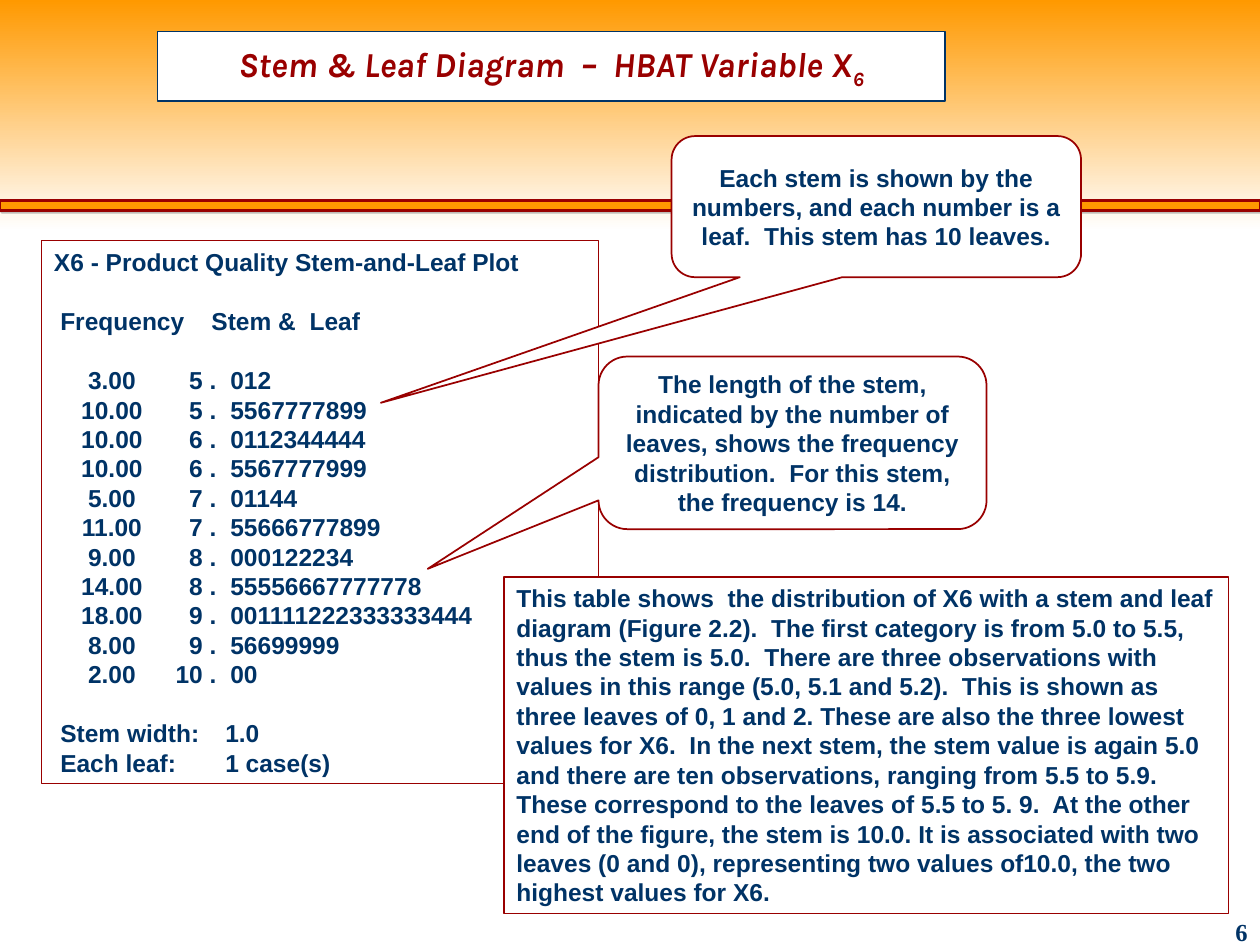
from lxml.etree import SubElement
from pptx import Presentation
from pptx.dml.color import RGBColor
from pptx.enum.shapes import MSO_SHAPE as Shape
from pptx.enum.text import MSO_ANCHOR as Anchor, PP_ALIGN as Align
from pptx.oxml.ns import qn
from pptx.util import Inches, Pt

ORANGE = RGBColor(0xFF, 0x99, 0x00)
MAROON = RGBColor(0x99, 0x00, 0x00)
NAVY = RGBColor(0x00, 0x33, 0x66)
WHITE = RGBColor(0xFF, 0xFF, 0xFF)
LINE_HEIGHT = Pt(16.8)

HEADING_TABS = [(0.05, "l"), (1.25, "l")]
ROW_TABS = [(0.46, "ctr"), (1.29, "r"), (1.4, "l")]
FOOTER_TABS = [(0.05, "l"), (1.36, "l")]

STEM_ROWS = [
    ("3.00", 5, "012"),
    ("10.00", 5, "5567777899"),
    ("10.00", 6, "0112344444"),
    ("10.00", 6, "5567777999"),
    ("5.00", 7, "01144"),
    ("11.00", 7, "55666777899"),
    ("9.00", 8, "000122234"),
    ("14.00", 8, "55556667777778"),
    ("18.00", 9, "001111222333333444"),
    ("8.00", 9, "56699999"),
    ("2.00", 10, "00"),
]
EXPLANATION = (
    "This table shows  the distribution of X6 with a stem and leaf diagram "
    "(Figure 2.2).  The first category is from 5.0 to 5.5, thus the stem is 5.0.  "
    "There are three observations with values in this range (5.0, 5.1 and 5.2).  "
    "This is shown as three leaves of 0, 1 and 2. These are also the three lowest "
    "values for X6.  In the next stem, the stem value is again 5.0 and there are "
    "ten observations, ranging from 5.5 to 5.9.  These correspond to the leaves of "
    "5.5 to 5. 9.  At the other end of the figure, the stem is 10.0. It is "
    "associated with two leaves (0 and 0), representing two values of10.0, the two "
    "highest values for X6."
)


def inches(box):
    return [Inches(length) for length in box]


def set_font(paragraph, size=14, name="Arial", color=NAVY):
    font = paragraph.font
    font.size, font.name, font.bold = Pt(size), name, True
    font.color.rgb = color


def set_tabs(paragraph, stops):
    """Add tab stops, given as (inches, alignment), in their schema position."""
    properties = paragraph._p.get_or_add_pPr()
    tabs = SubElement(properties, qn("a:tabLst"))
    for position, alignment in stops:
        SubElement(tabs, qn("a:tab"), pos=str(Inches(position)), algn=alignment)


def write_line(paragraph, text, align=Align.LEFT, before=0, tabs=()):
    paragraph.alignment = align
    paragraph.line_spacing = LINE_HEIGHT
    paragraph.space_before = before
    if tabs:
        set_tabs(paragraph, tabs)
    paragraph.text = text
    set_font(paragraph)


def add_panel(slide, box, geometry=Shape.RECTANGLE, border=0.75, anchor=Anchor.MIDDLE):
    panel = slide.shapes.add_shape(geometry, *inches(box))
    panel.shadow.inherit = False
    panel.fill.solid()
    panel.fill.fore_color.rgb = WHITE
    panel.line.color.rgb = MAROON
    panel.line.width = Pt(border)
    panel.text_frame.word_wrap = True
    panel.text_frame.vertical_anchor = anchor
    return panel


def add_header_band(slide, box):
    left, top, width, height = box
    band = slide.shapes.add_shape(Shape.RECTANGLE, *inches(box))
    band.shadow.inherit = False
    band.line.fill.background()
    band.fill.gradient()
    band.fill.gradient_angle = 270
    for stop, color in zip(band.fill.gradient_stops, (ORANGE, WHITE)):
        stop.color.rgb = color

    stripe_box = (left, top + 0.87 * height, width, 0.08)
    stripe = slide.shapes.add_shape(Shape.RECTANGLE, *inches(stripe_box))
    stripe.fill.solid()
    stripe.fill.fore_color.rgb = ORANGE
    stripe.line.color.rgb = MAROON
    stripe.line.width = Pt(1.5)
    stripe.shadow.inherit = False
    effects = stripe._element.spPr.find(qn("a:effectLst"))
    shadow = SubElement(effects, qn("a:outerShdw"), dist=str(Pt(1.4)), dir="2700000")
    shade = SubElement(shadow, qn("a:srgbClr"), val="808080")
    SubElement(shade, qn("a:alpha"), val="50000")


def place_title(slide, box):
    title = slide.shapes.title
    slide.shapes._spTree.append(title._element)  # in front of the header band
    title.left, title.top, title.width, title.height = inches(box)
    title.fill.solid()
    title.fill.fore_color.rgb = WHITE
    title.line.color.rgb = NAVY
    title.line.width = Pt(1)
    title.text_frame.vertical_anchor = Anchor.MIDDLE
    heading = title.text_frame.paragraphs[0]
    heading.alignment = Align.CENTER
    heading.add_run().text = "Stem & Leaf Diagram  –  HBAT Variable X"
    subscript = heading.add_run()
    subscript.text = "6"
    subscript.font._element.set("baseline", "-25000")
    set_font(heading, 20, "Karla", MAROON)
    heading.font.italic = True


def add_stem_plot(slide, box):
    frame = add_panel(slide, box).text_frame
    write_line(frame.paragraphs[0], "X6 - Product Quality Stem-and-Leaf Plot")
    write_line(frame.add_paragraph(), "\tFrequency\tStem &  Leaf",
               before=LINE_HEIGHT, tabs=HEADING_TABS)
    for index, (frequency, stem, leaves) in enumerate(STEM_ROWS):
        write_line(frame.add_paragraph(), f"\t{frequency}\t{stem} .\t{leaves}",
                   before=0 if index else LINE_HEIGHT, tabs=ROW_TABS)
    write_line(frame.add_paragraph(), "\tStem width:\t1.0",
               before=LINE_HEIGHT, tabs=FOOTER_TABS)
    write_line(frame.add_paragraph(), "\tEach leaf:\t1 case(s)", tabs=FOOTER_TABS)


def add_callout(slide, box, pointer, text):
    """Add a callout whose pointer is a share of its size away from its centre."""
    callout = add_panel(slide, box, Shape.ROUNDED_RECTANGULAR_CALLOUT, border=1)
    callout.adjustments[0], callout.adjustments[1] = pointer
    write_line(callout.text_frame.paragraphs[0], text, Align.CENTER)


def add_explanation(slide, box):
    explanation = add_panel(slide, box, anchor=Anchor.TOP)
    write_line(explanation.text_frame.paragraphs[0], EXPLANATION)


def add_page_number(slide, box):
    number = slide.shapes.add_textbox(*inches(box)).text_frame
    number.word_wrap = True
    paragraph = number.paragraphs[0]
    paragraph.text = "6"
    paragraph.alignment = Align.RIGHT
    set_font(paragraph, name="Times New Roman")


def main():
    deck = Presentation()
    deck.slide_width, deck.slide_height = Inches(10), Inches(7.5)
    slide = deck.slides.add_slide(deck.slide_layouts.get_by_name("Title Only"))
    add_header_band(slide, (0, 0, 10, 1.83))
    place_title(slide, (1.25, 0.25, 6.25, 0.55))
    add_stem_plot(slide, (0.33, 1.91, 4.42, 4.31))
    add_callout(slide, (5.33, 1.08, 3.25, 1.12), (-1.21, 1.39),
                "Each stem is shown by the numbers, and each number is a leaf.  "
                "This stem has 10 leaves.")
    add_callout(slide, (4.75, 2.83, 3.08, 1.37), (-0.94, 0.73),
                "The length of the stem, indicated by the number of leaves, shows "
                "the frequency distribution.  For this stem, the frequency is 14.")
    add_explanation(slide, (4, 4.58, 5.75, 2.67))
    add_page_number(slide, (9.25, 7.23, 0.75, 0.27))
    deck.save("out.pptx")


if __name__ == "__main__":
    main()
